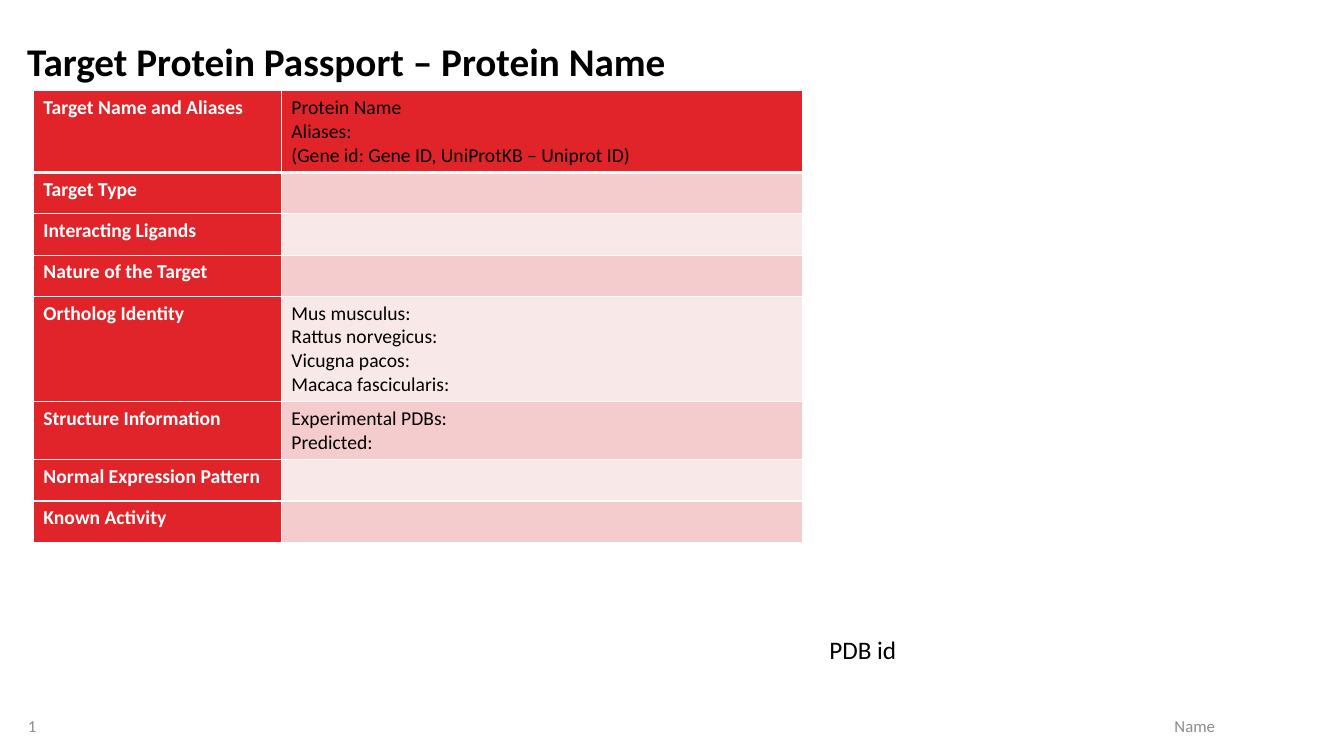
from lxml.etree import SubElement
from pptx import Presentation
from pptx.dml.color import RGBColor
from pptx.enum.text import MSO_ANCHOR, MSO_AUTO_SIZE, PP_ALIGN
from pptx.oxml.ns import qn
from pptx.util import Cm, Pt

HUES = {"red": "E1242A", "rose": "F4CCCD", "pale": "F9E8E8",
        "white": "FFFFFF", "black": "000000", "grey": "8C8C8C"}
HEAD = {"size": Pt(28), "bold": True}
LABEL = {"size": Pt(14), "bold": True}
BODY = {"size": Pt(14), "bold": False}
NOTE = {"size": Pt(18)}
FOOT = {"size": Pt(12)}
ROWS = [
    ("Target Name and Aliases",
     ["Protein Name", "Aliases:", "(Gene id: Gene ID, UniProtKB – Uniprot ID)"]),
    ("Target Type", []),
    ("Interacting Ligands", []),
    ("Nature of the Target", []),
    ("Ortholog Identity",
     ["Mus musculus:", "Rattus norvegicus:", "Vicugna pacos:", "Macaca fascicularis:"]),
    ("Structure Information", ["Experimental PDBs:", "Predicted:"]),
    ("Normal Expression Pattern", []),
    ("Known Activity", []),
]


def tint(name):
    return RGBColor.from_string(HUES[name])


def put(item, values):
    for key, value in values.items():
        setattr(item, key, value)


def write(frame, lines, style, hue, align=PP_ALIGN.LEFT):
    frame.text = "\n".join(lines)
    for para in frame.paragraphs:
        para.alignment = align
        put(para.font, {"name": "Calibri", **style})
        para.font.color.rgb = tint(hue)
        for run in para.runs:
            put(run.font, {"name": "Calibri", **style})
            run.font.color.rgb = tint(hue)


def add_title(slide, text):
    title = slide.shapes.title
    put(title, {"left": Cm(0.43), "top": Cm(0.76),
                "width": Cm(29.21), "height": Cm(1.52)})
    frame = title.text_frame
    write(frame, [text], HEAD, "black")
    put(frame, {"vertical_anchor": MSO_ANCHOR.BOTTOM,
                "auto_size": MSO_AUTO_SIZE.NONE, "word_wrap": True})
    frame.paragraphs[0].line_spacing = 0.9


def add_text(slide, text, spot, style, hue, align, anchor):
    box = slide.shapes.add_textbox(*map(Cm, spot))
    frame = box.text_frame
    put(frame, {"word_wrap": True, "vertical_anchor": anchor})
    write(frame, [text], style, hue, align)


def edge(cell, base):
    props = cell._tc.get_or_add_tcPr()
    for side in "LRTB":
        width = Pt(base if side == "B" else 1)
        line = SubElement(props, qn(f"a:ln{side}"), w=str(width))
        fill = SubElement(line, qn("a:solidFill"))
        SubElement(fill, qn("a:srgbClr"), val=HUES["white"])


def fill_cell(cell, lines, style, ink, back, base):
    edge(cell, base)
    cell.fill.solid()
    cell.fill.fore_color.rgb = tint(back)
    write(cell.text_frame, lines, style, ink)


def add_grid(slide):
    frame = slide.shapes.add_table(len(ROWS), 2, Cm(0.84), Cm(2.29), Cm(19.38), Cm(11.25))
    table = frame.table
    for col, width in zip(table.columns, (6.25, 13.13)):
        col.width = Cm(width)
    for num, (label, lines) in enumerate(ROWS):
        table.rows[num].height = Cm(max(1.04, 0.25 + 0.6 * len(lines)))
        base = 1 if num else 3
        band = ("rose" if num % 2 else "pale") if num else "red"
        fill_cell(table.cell(num, 0), [label], LABEL, "white", "red", base)
        fill_cell(table.cell(num, 1), lines, BODY, "black", band, base)


def main():
    deck = Presentation()
    put(deck, {"slide_width": Cm(33.87), "slide_height": Cm(19.05)})
    slide = deck.slides.add_slide(deck.slide_layouts[5])
    add_title(slide, "Target Protein Passport – Protein Name")
    add_grid(slide)
    add_text(slide, "PDB id", (20.65, 15.85, 10.06, 1.02), NOTE, "black",
             PP_ALIGN.LEFT, MSO_ANCHOR.TOP)
    add_text(slide, "1", (0, 17.78, 1.17, 1.02), FOOT, "grey",
             PP_ALIGN.RIGHT, MSO_ANCHOR.MIDDLE)
    add_text(slide, "Name", (26.95, 17.78, 6.32, 1.02), FOOT, "grey",
             PP_ALIGN.CENTER, MSO_ANCHOR.MIDDLE)
    deck.save("out.pptx")


if __name__ == "__main__":
    main()
